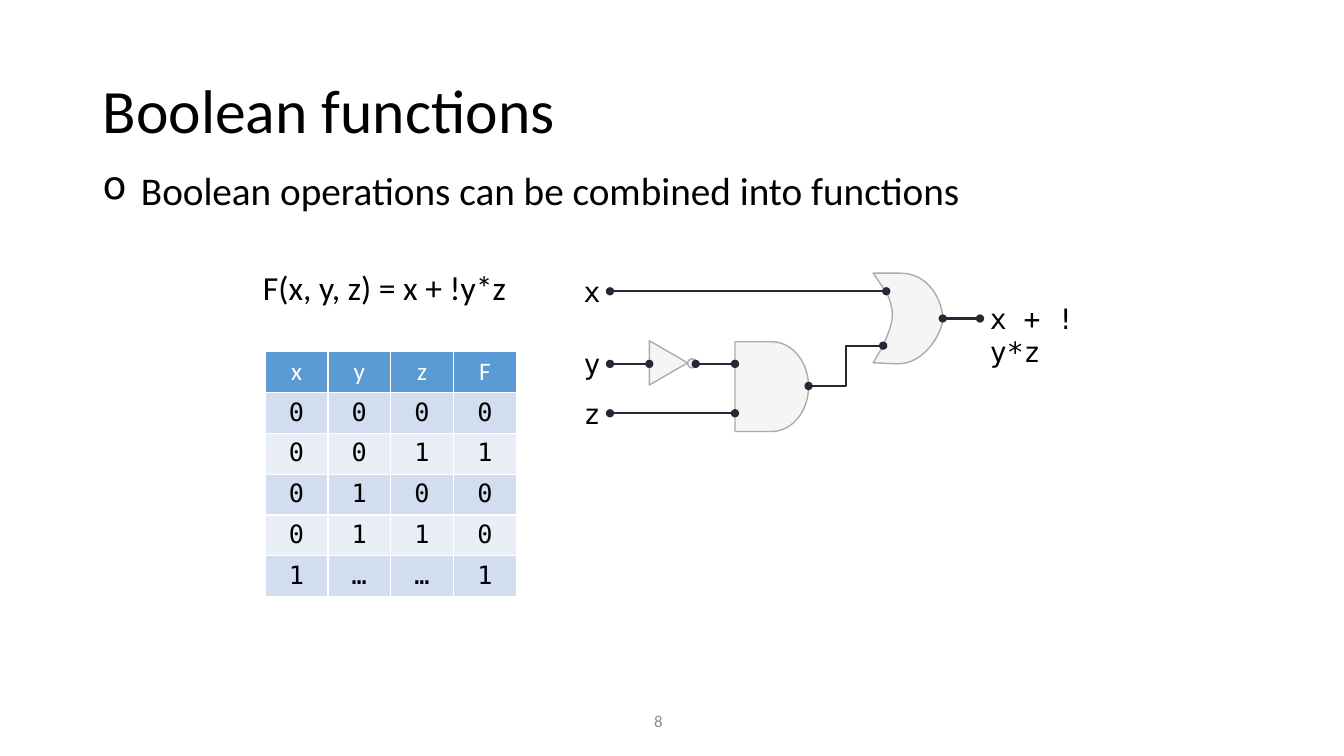
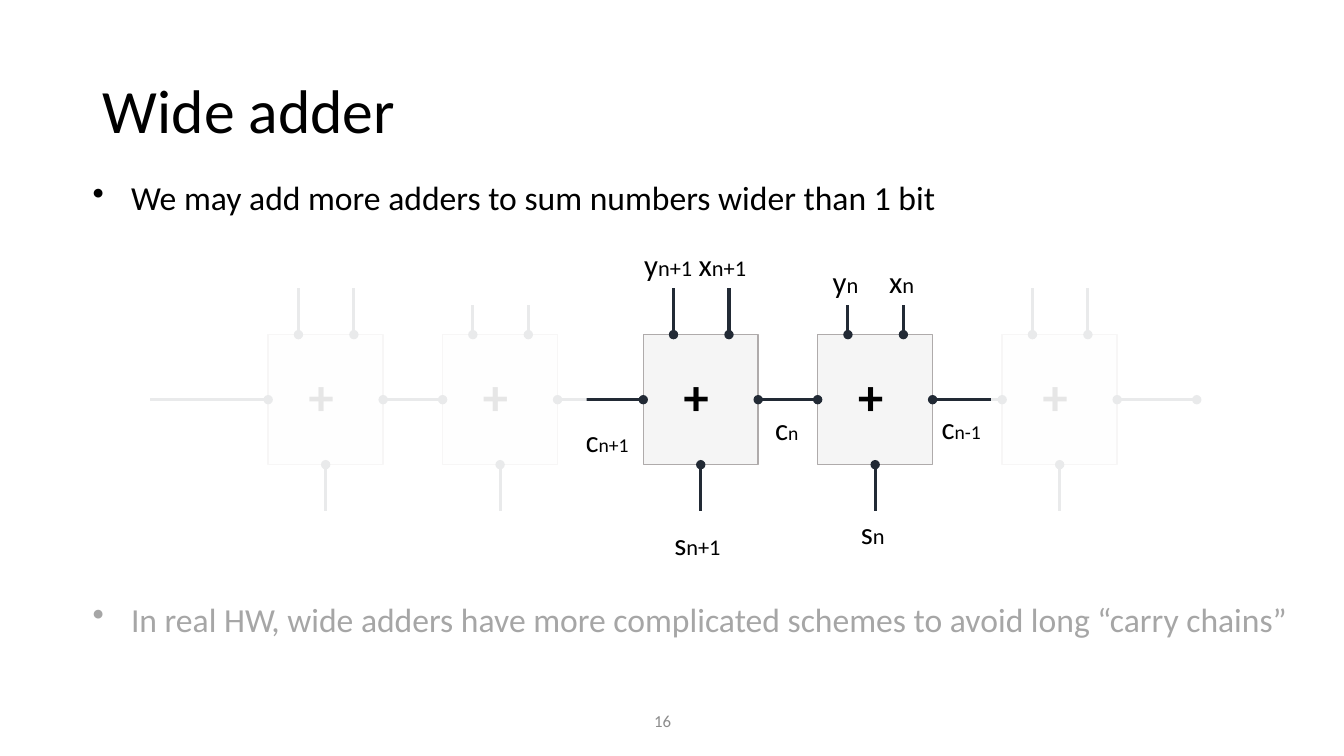
from lxml import etree
from pptx import Presentation
from pptx.dml.color import RGBColor
from pptx.enum.shapes import MSO_CONNECTOR, MSO_SHAPE
from pptx.enum.text import MSO_ANCHOR, MSO_AUTO_SIZE, PP_ALIGN
from pptx.oxml.ns import qn
from pptx.util import Inches, Pt

STRAIGHT, ELBOW = MSO_CONNECTOR.STRAIGHT, MSO_CONNECTOR.ELBOW
RECTANGLE, OVAL = MSO_SHAPE.RECTANGLE, MSO_SHAPE.OVAL
TRIANGLE, AND_GATE = MSO_SHAPE.ISOSCELES_TRIANGLE, MSO_SHAPE.FLOWCHART_DELAY
TOP, MIDDLE = MSO_ANCHOR.TOP, MSO_ANCHOR.MIDDLE
LEFT, CENTER = PP_ALIGN.LEFT, PP_ALIGN.CENTER
FIT_SHAPE, NO_FIT = MSO_AUTO_SIZE.SHAPE_TO_FIT_TEXT, MSO_AUTO_SIZE.NONE
SIDE_LEFT, SIDE_BOTTOM, SIDE_RIGHT = 1, 2, 3

SANS, MONO = "Calibri", "DejaVu Sans Mono"
COLORS = {
    "text": "000000", "muted": "A6A6A6", "number": "8C8C8C",
    "paper": "FFFFFF", "gate": "F5F5F5", "outline": "AFABAB", "wire": "222A35",
    "header": "5B9BD5", "band_dark": "D2DEEF", "band_light": "EAEFF7",
}
TITLE_ONLY = 5


def grid(*cells):
    """Turn columns and rows of a tenth of an inch into slide lengths."""
    return [Inches(cell / 10) for cell in cells]


def rgb(name):
    return RGBColor.from_string(COLORS[name])


def bezier(start, pull_out, pull_in, end, steps=12):
    """Points along a cubic curve, without its start."""
    points = []
    for step in range(1, steps + 1):
        t = step / steps
        weights = ((1 - t) ** 3, 3 * t * (1 - t) ** 2, 3 * t * t * (1 - t), t ** 3)
        controls = (start, pull_out, pull_in, end)
        points.append(tuple(sum(w * c[axis] for w, c in zip(weights, controls))
                            for axis in (0, 1)))
    return points


class Deck:
    def __init__(self):
        self.prs = Presentation()
        self.prs.slide_width, self.prs.slide_height = Inches(13.33), Inches(7.5)
        self.slide = None

    def new_slide(self, title, number):
        self.slide = self.prs.slides.add_slide(self.prs.slide_layouts[TITLE_ONLY])
        heading = self.slide.shapes.title
        heading.left, heading.top, heading.width, heading.height = grid(9.2, 4, 115, 14.5)
        heading.text_frame.text = title
        heading.text_frame.vertical_anchor = MIDDLE
        heading.text_frame.auto_size = NO_FIT
        paragraph = heading.text_frame.paragraphs[0]
        paragraph.line_spacing = 0.9
        self.style(paragraph, 44)
        self.text((63.9, 69.5, 7.9, 4), number, 12, color="number", anchor=MIDDLE)

    def style(self, paragraph, size, font=SANS, color="text", align=LEFT, bold=False):
        paragraph.alignment = align
        paragraph.font.name, paragraph.font.size = font, Pt(size)
        paragraph.font.bold = bold
        paragraph.font.color.rgb = rgb(color)

    def text(self, box, words, size, font=SANS, color="text", anchor=TOP, wrap=True):
        frame = self.slide.shapes.add_textbox(*grid(*box)).text_frame
        frame.word_wrap = wrap
        frame.vertical_anchor = anchor
        frame.auto_size = NO_FIT if wrap else FIT_SHAPE
        paragraph = frame.paragraphs[0]
        paragraph.add_run().text = words
        self.style(paragraph, size, font, color)
        return frame

    def bullet(self, box, words, size, mark="•", color="text", inset=True):
        frame = self.text(box, "", size)
        if not inset:
            frame.margin_left = frame.margin_right = 0
            frame.margin_top = frame.margin_bottom = 0
        paragraph = frame.paragraphs[0]
        paragraph.runs[0].text = words
        properties = paragraph._p.get_or_add_pPr()
        properties.set("marL", str(Inches(0.38)))
        properties.set("indent", str(-Inches(0.38)))
        bullet_char = etree.Element(qn("a:buChar"), char=mark)
        properties.insert(0, bullet_char)
        self.style(paragraph, size, color=color)

    def signal(self, left, top, width, name, index, index_size=16):
        """A signal name followed by its smaller index."""
        frame = self.text((left, top, width, 4.7), name, 22, wrap=False)
        suffix = frame.paragraphs[0].add_run()
        suffix.text, suffix.font.size = index, Pt(index_size)

    def paint(self, shape):
        shape.shadow.inherit = False
        shape.fill.solid()
        shape.fill.fore_color.rgb = rgb("gate")
        shape.line.color.rgb = rgb("outline")
        shape.line.width = Pt(1)
        return shape

    def block(self, kind, box, rotation=0):
        shape = self.paint(self.slide.shapes.add_shape(kind, *grid(*box)))
        shape.rotation = rotation
        return shape

    def outline(self, points):
        corners = [grid(*point) for point in points]
        builder = self.slide.shapes.build_freeform(*corners[0], scale=1.0)
        builder.add_line_segments(corners[1:], close=True)
        return self.paint(builder.convert_to_shape())

    def veil(self, box):
        """A nearly opaque white sheet that fades what lies below."""
        sheet = self.block(RECTANGLE, box)
        sheet.fill.fore_color.rgb = rgb("paper")
        sheet.line.fill.background()
        color = sheet.fill._xPr.find(qn("a:solidFill"))[0]
        etree.SubElement(color, qn("a:alpha"), val="90000")

    def wire(self, start, end, dots="both", width=1.5, kind=STRAIGHT):
        line = self.slide.shapes.add_connector(kind, *grid(*start, *end))
        line.line.color.rgb = rgb("wire")
        line.line.width = Pt(width)
        stroke = line.line._get_or_add_ln()
        for tag, place in (("a:headEnd", "start"), ("a:tailEnd", "end")):
            if dots in (place, "both"):
                etree.SubElement(stroke, qn(tag), type="oval")
        etree.SubElement(line._element.spPr, qn("a:effectLst"))
        return line

    def table(self, box, rows):
        table = self.slide.shapes.add_table(len(rows), len(rows[0]), *grid(*box)).table
        for r, row in enumerate(rows):
            band = "header" if r == 0 else "band_dark" if r % 2 else "band_light"
            font, color = (MONO, "text") if r else (SANS, "paper")
            for c, value in enumerate(row):
                cell = table.cell(r, c)
                cell.text = value
                self.style(cell.text_frame.paragraphs[0], 18, font, color, CENTER)
                self.borders(cell)
                cell.fill.solid()
                cell.fill.fore_color.rgb = rgb(band)

    def borders(self, cell):
        properties = cell._tc.get_or_add_tcPr()
        for tag in ("a:lnL", "a:lnR", "a:lnT", "a:lnB"):
            edge = etree.SubElement(properties, qn(tag), w=str(Pt(1)))
            fill = etree.SubElement(edge, qn("a:solidFill"))
            etree.SubElement(fill, qn("a:srgbClr"), val=COLORS["paper"])


def boolean_functions(deck):
    deck.new_slide("Boolean functions", "8")
    deck.bullet((9.2, 16, 115, 49.1),
                "Boolean operations can be combined into functions", 28, mark="o")
    deck.text((25.1, 26, 29, 5), "F(x, y, z) = x + !y*z", 24)
    deck.table((26.3, 34.9, 24.9, 24.3), ["xyzF", "0000", "0011", "0100", "0110", "1……1"])

    deck.block(TRIANGLE, (64.1, 34.1, 4.4, 3.8), rotation=90)
    deck.block(OVAL, (68.2, 35.6, 0.9, 0.9))
    deck.block(AND_GATE, (72.9, 33.9, 7.3, 8.9))
    or_gate = [(89.3, 27.1), (86.6, 27.1), (87.9, 29)]
    or_gate += bezier((87.9, 29), (88.1, 29.3), (88.6, 30.6), (88.5, 31.4))
    or_gate += bezier((88.5, 31.4), (88.5, 32.3), (87.7, 34), (87.6, 34.3))
    or_gate += [(86.6, 36), (89.1, 36.1)]
    or_gate += bezier((89.1, 36.1), (91.7, 36.1), (93.5, 33), (93.5, 31.6))
    or_gate += bezier((93.5, 31.6), (93.5, 30.1), (92.3, 27.1), (89.3, 27.1))
    deck.outline(or_gate)

    for name, row, gate_side in (("x", 28.9, 87.9), ("y", 36.1, 64.4), ("z", 41, 72.9)):
        deck.text((56.9, row - 2.2, 3.6, 4.4), name, 20, MONO, wrap=False)
        deck.wire((gate_side, row), (60.5, row))
    deck.wire((69, 36.1), (72.9, 36.1))
    deck.wire((80.2, 38.3), (87.6, 34.3), kind=ELBOW)
    deck.wire((93.5, 31.6), (97.2, 31.6))
    deck.text((97.2, 29.4, 14.4, 4.4), "x + !y*z", 20, MONO)


ADDER_TOP, ADDER_WIDTH, ADDER_HEIGHT = 33.2, 11.4, 12.9
CARRY_ROW = ADDER_TOP + ADDER_HEIGHT / 2


def adder(deck, left, input_top):
    """A one-bit adder with two input wires and a sum wire."""
    box = deck.block(RECTANGLE, (left, ADDER_TOP, ADDER_WIDTH, ADDER_HEIGHT))
    frame = box.text_frame
    frame.margin_left = frame.margin_top = 0
    frame.margin_right = frame.margin_bottom = Inches(0.09)
    frame.vertical_anchor = MIDDLE
    frame.text = "+"
    deck.style(frame.paragraphs[0], 36, align=CENTER, bold=True)
    for offset in (3, 8.5):
        deck.wire((left + offset, input_top), (left + offset, ADDER_TOP), "end", 2.25)
    middle, bottom = left + ADDER_WIDTH / 2, ADDER_TOP + ADDER_HEIGHT
    total = deck.wire((middle, bottom), (middle, bottom + 4.6), "start", 2.25)
    total.begin_connect(box, SIDE_BOTTOM)
    return box


def carry_stub(deck, box, side, far_column, dots="start"):
    line = deck.wire((far_column, CARRY_ROW), (far_column, CARRY_ROW), dots, 2.25)
    line.begin_connect(box, side)


def carry_link(deck, upper, lower):
    line = deck.wire((0, CARRY_ROW), (1, CARRY_ROW), "both", 2.25)
    line.begin_connect(lower, SIDE_LEFT)
    line.end_connect(upper, SIDE_RIGHT)


def wide_adder(deck):
    tall, short = 28.6, 30.3
    deck.new_slide("Wide adder", "16")

    next_bit, this_bit = adder(deck, 63.8, tall), adder(deck, 81.1, short)
    carry_link(deck, next_bit, this_bit)
    carry_stub(deck, this_bit, SIDE_RIGHT, 96.8)
    carry_stub(deck, next_bit, SIDE_LEFT, 57.9)
    for left, top, width, name, index in (
            (81.6, 25.6, 4.6, "y", "n"), (87.2, 25.6, 4.5, "x", "n"),
            (62.9, 23.9, 7.9, "y", "n+1"), (68.3, 23.9, 7.9, "x", "n+1"),
            (84.4, 50.5, 4.4, "s", "n"), (65.9, 51.6, 6.7, "s", "n+1")):
        deck.signal(left, top, width, name, index)
    for left, top, width, index in ((92.4, 40.1, 5.9, "n-1"), (75.9, 40.2, 4.4, "n"),
                                    (57.1, 41.3, 6.3, "n+1")):
        deck.signal(left, top, width, "c", index, index_size=14)

    highest, higher = adder(deck, 26.6, tall), adder(deck, 43.9, short)
    carry_link(deck, highest, higher)
    carry_stub(deck, higher, SIDE_RIGHT, 59.6)
    carry_stub(deck, highest, SIDE_LEFT, 14.9)
    deck.veil((14.5, 18.6, 43.7, 36.8))

    lower = adder(deck, 99.4, tall)
    carry_stub(deck, lower, SIDE_LEFT, 93.6)
    carry_stub(deck, lower, SIDE_RIGHT, 118.7, "both")
    deck.veil((98.3, 19, 22, 36.8))

    deck.bullet((9.2, 17.6, 102.4, 8.7),
                "We may add more adders to sum numbers wider than 1 bit", 24, inset=False)
    deck.bullet((9.2, 59.4, 118.6, 8.7),
                "In real HW, wide adders have more complicated schemes to avoid long "
                "“carry chains”", 24, color="muted", inset=False)


def main():
    deck = Deck()
    boolean_functions(deck)
    wide_adder(deck)
    deck.prs.save("out.pptx")


if __name__ == "__main__":
    main()
